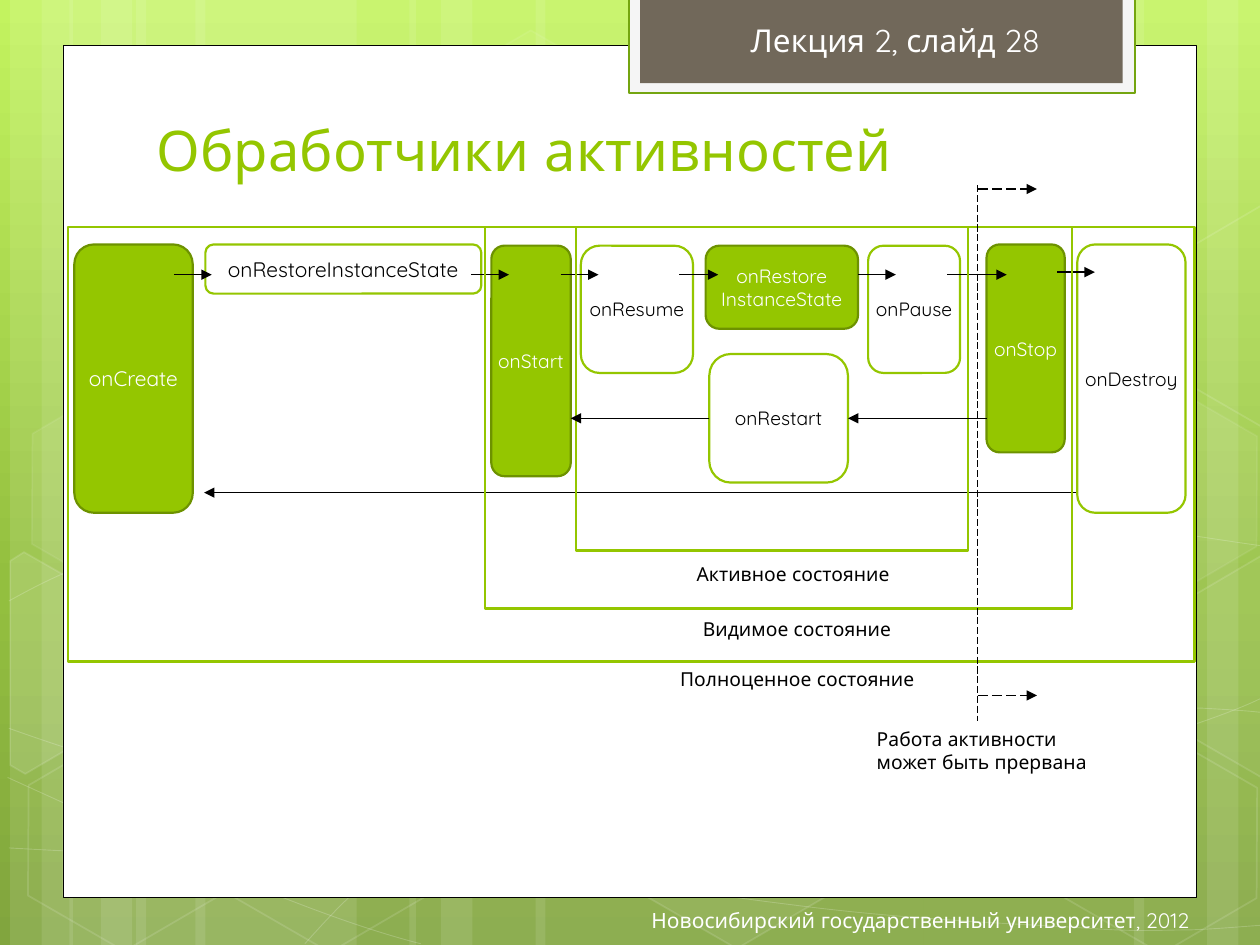
from copy import deepcopy
from math import cos, radians, sin

from pptx import Presentation
from pptx.dml.color import RGBColor
from pptx.enum.dml import MSO_LINE
from pptx.enum.shapes import MSO_CONNECTOR, MSO_SHAPE
from pptx.enum.text import MSO_ANCHOR, MSO_AUTO_SIZE, PP_ALIGN
from pptx.oxml.ns import qn
from pptx.util import Inches, Pt
from lxml.etree import SubElement

FONT = "Quicksand"
COLORS = {
    "white": "FFFFFF", "black": "000000", "green": "94C600", "dark_green": "6D9200",
    "tab_fill": "F5F5F5", "tab_line": "74A510", "brown": "71685A",
}
BACKDROP = [(0, "C3F35F"), (0.62, "93BF3F"), (1, "81A53E")]
BANDS = [
    (1.08, 1.75), (0.08, 0.5), (0.33, 0.83), (1.55, 1.75), (0.55, 0.5), (0.8, 0.83),
    (7.33, 1.75), (9.58, 0.5), (9, 0.83), (4.25, 3.08), (3.25, 0.5), (3.5, 0.83),
]
WAVES = [
    [(0.07, 6.73), (0.61, 6.76, 1.15, 6.79, 1.9, 6.78), (2.65, 6.77, 3.58, 6.75, 4.58, 6.65),
     (5.58, 6.55, 7, 6.36, 7.92, 6.17), (8.83, 5.98, 9.77, 5.68, 10.07, 5.51)],
    [(0.07, 4.77), (0.36, 4.61, 0.65, 4.46, 1.21, 4.31), (1.78, 4.16, 2.59, 3.94, 3.47, 3.87),
     (4.36, 3.8, 5.44, 3.79, 6.54, 3.87), (7.64, 3.95, 9.47, 4.26, 10.07, 4.34)],
    [(0.06, 6.17), (1.27, 6.72, 2.47, 7.27, 3.34, 7.49)],
    [(0.07, 5.78), (0.38, 5.89, 0.7, 6, 1.28, 6.16), (1.86, 6.31, 2.73, 6.56, 3.57, 6.73),
     (4.4, 6.9, 5.45, 7.08, 6.28, 7.18), (7.11, 7.29, 8, 7.33, 8.53, 7.36),
     (9.05, 7.4, 9.19, 7.38, 9.45, 7.38), (9.71, 7.37, 9.89, 7.35, 10.07, 7.34)],
    [(2.42, 7.49), (2.6, 7.29, 2.78, 7.09, 3.02, 6.91), (3.26, 6.73, 3.6, 6.53, 3.88, 6.39),
     (4.16, 6.25, 4.33, 6.19, 4.7, 6.09), (5.06, 5.99, 5.73, 5.85, 6.08, 5.78),
     (6.44, 5.71, 6.49, 5.71, 6.8, 5.69), (7.11, 5.66, 7.6, 5.63, 7.94, 5.62),
     (8.29, 5.61, 8.86, 5.62, 8.86, 5.62), (9.53, 5.62),
     (9.71, 5.63, 9.88, 5.64, 9.97, 5.65), (10.06, 5.66, 10.03, 5.65, 10.06, 5.66)],
]
HEXAGON_TILT = 30
HEXAGONS = [
    (3.34, 0.36, 4, 8), (4.97, 5.89, 6, 12), (0.11, 5.91, 0, 12), (0.14, 3.12, 7, 8),
    (1.74, 5.92, 0, 12), (7.53, 4.53, 10, 12), (8.34, 5.93, 0, 12), (8.34, 3.14, 7, 8),
]
CUT_HEXAGONS = [
    ((0.36, 5.35), 10,
     [(0.08, 4.45), (0.19, 4.38), (0.96, 4.82), (0.95, 5.7), (0.2, 6.14), (0.08, 6.07)]),
    ((9.85, 5.2), 4,
     [(9.26, 4.85), (10.01, 4.41), (10.09, 4.46), (10.09, 6.13), (10.02, 6.17), (9.26, 5.73)]),
    ((9.85, 2.41), 0,
     [(9.26, 2.07), (10.01, 1.63), (10.1, 1.68), (10.09, 3.35), (10.02, 3.39), (9.26, 2.95)]),
]
PANELS = [
    (0.5, 0.36, 9, 6.76, "white", "black", 0.5),
    (4.99, -0.02, 4.02, 0.76, "tab_fill", "tab_line", 1.25),
    (5.08, -0.02, 3.83, 0.68, "brown", None, 0),
]
TITLE = "Обработчики активностей"
HANDLERS = [
    ("onCreate", 0.59, 1.94, 0.94, 2.13, True, 12),
    ("onRestoreInstanceState", 1.63, 1.94, 2.19, 0.39, False, 12),
    ("onStart", 3.9, 1.95, 0.63, 1.83, True, 11),
    ("onResume", 4.61, 1.95, 0.89, 1.01, False, 11),
    ("onRestore\nInstanceState", 5.6, 1.95, 1.21, 0.66, True, 11),
    ("onPause", 6.89, 1.95, 0.73, 1.01, False, 11),
    ("onStop", 7.83, 1.94, 0.62, 1.65, True, 11),
    ("onDestroy", 8.55, 1.94, 0.86, 2.13, False, 11),
]
RESTART = ("onRestart", 5.63, 2.81, 1.1, 1.02, False, 11)
FORWARD_ARROWS = [
    (1.38, 1.68, 2.18), (3.74, 4.04, 2.18), (4.45, 4.75, 2.18), (5.39, 5.7, 2.18),
    (6.81, 7.11, 2.18), (7.52, 7.99, 2.18), (8.39, 8.69, 2.16),
]
STATE_FRAMES = [(0.54, 8.94, 3.45), (3.85, 4.66, 3.03), (4.57, 3.11, 2.57)]
LABELS = [
    ("Полноценное состояние", 5.3, 5.25, 2.14, 0.29),
    ("Видимое состояние", 5.48, 4.85, 1.77, 0.29),
    ("Активное состояние", 5.43, 4.41, 1.77, 0.29),
    ("Работа активности\nможет быть прервана", 6.86, 5.72, 1.92, 0.47),
]

prs = Presentation()
prs.slide_width, prs.slide_height = Inches(10), Inches(7.5)
slide = prs.slides.add_slide(prs.slide_layouts[5])


def rgb(name):
    return RGBColor.from_string(COLORS[name])


def paint(shape, fill=None, line=None, width=1.25, fill_alpha=100, line_alpha=100):
    shape.shadow.inherit = False
    for part, color in ((shape.fill, fill), (shape.line.fill, line)):
        if color:
            part.solid()
            part.fore_color.rgb = rgb(color)
        else:
            part.background()
    if line:
        shape.line.width = Pt(width)
    for route, alpha in (("a:solidFill", fill_alpha), ("a:ln/a:solidFill", line_alpha)):
        for color in shape._element.spPr.xpath(f"./{route}/a:srgbClr"):
            if alpha < 100:
                SubElement(color, qn("a:alpha")).set("val", str(alpha * 1000))


def add_box(kind, x, y, w, h, **look):
    box = slide.shapes.add_shape(kind, Inches(x), Inches(y), Inches(w), Inches(h))
    paint(box, **look)
    return box


def add_outline(points, close, **look):
    points = [(Inches(x), Inches(y)) for x, y in points]
    builder = slide.shapes.build_freeform(*points[0])
    builder.add_line_segments(points[1:], close=close)
    outline = builder.convert_to_shape()
    paint(outline, **look)
    return outline


def add_wave(start, *segments):
    points = [start] + [pair for part in segments for pair in zip(part[::2], part[1::2])]
    wave = add_outline(points, False, line="white", width=0.5, line_alpha=20)
    steps = iter(wave._element.xpath(".//a:path/a:lnTo"))
    for part in segments:
        group = [next(steps) for _ in part[::2]]
        if len(group) == 3:
            curve = group[0].makeelement(qn("a:cubicBezTo"))
            group[0].addprevious(curve)
            for step in group:
                curve.append(step[0])
                step.getparent().remove(step)


def turn(point, center, degrees):
    angle = radians(degrees)
    dx, dy = point[0] - center[0], point[1] - center[1]
    return (center[0] + dx * cos(angle) - dy * sin(angle),
            center[1] + dx * sin(angle) + dy * cos(angle))


def write(holder, text, size=11, color="black", align=PP_ALIGN.LEFT,
          anchor=MSO_ANCHOR.TOP, wrap=False, inset=None):
    frame = holder.text_frame
    frame.text = text
    frame.word_wrap = wrap
    frame.auto_size = MSO_AUTO_SIZE.NONE if wrap else MSO_AUTO_SIZE.SHAPE_TO_FIT_TEXT
    frame.vertical_anchor = anchor
    if inset is not None:
        frame.margin_left = frame.margin_right = frame.margin_top = frame.margin_bottom = inset
    for paragraph in frame.paragraphs:
        paragraph.alignment = align
        paragraph.font.size = Pt(size)
        paragraph.font.name = FONT
        paragraph.font.color.rgb = rgb(color)


def add_label(text, x, y, w, h, **style):
    write(slide.shapes.add_textbox(Inches(x), Inches(y), Inches(w), Inches(h)), text, **style)


def add_handler(name, x, y, w, h, filled, size):
    handler = add_box(MSO_SHAPE.ROUNDED_RECTANGLE, x, y, w, h, fill="green" if filled else "white",
                      line="dark_green" if filled else "green")
    write(handler, name, size=size, color="white" if filled else "black",
          align=PP_ALIGN.CENTER, anchor=MSO_ANCHOR.MIDDLE, wrap=True, inset=0)
    return handler


def add_line(x1, y1, x2, y2, width=0.75, dashed=False, arrow=True):
    line = slide.shapes.add_connector(
        MSO_CONNECTOR.STRAIGHT, Inches(x1), Inches(y1), Inches(x2), Inches(y2))
    line.line.color.rgb = rgb("black")
    line.line.width = Pt(width)
    if dashed:
        line.line.dash_style = MSO_LINE.LONG_DASH
    if arrow:
        SubElement(line.line._get_or_add_ln(), qn("a:tailEnd")).set("type", "triangle")
    SubElement(line._element.spPr, qn("a:effectLst"))
    return line


backdrop = slide.background.fill
backdrop.gradient()
backdrop.gradient_angle = 270
stops = slide._element.xpath(".//p:bgPr//a:gsLst")[0]
stops.append(deepcopy(stops[0]))
for stop, (position, color) in zip(backdrop.gradient_stops, BACKDROP):
    stop.position = position
    stop.color.rgb = RGBColor.from_string(color)

for x, w in BANDS:
    add_box(MSO_SHAPE.RECTANGLE, x, 0, w, 7.5, fill="white", fill_alpha=10)
for wave in WAVES:
    add_wave(*wave)
for x, y, fill_alpha, line_alpha in HEXAGONS:
    hexagon = add_box(MSO_SHAPE.HEXAGON, x, y, 1.75, 1.52, fill="white" if fill_alpha else None,
                      line="white", width=1, fill_alpha=fill_alpha, line_alpha=line_alpha)
    hexagon.adjustments[0] = 0.285
    hexagon.adjustments[1] = 1.155
    hexagon.rotation = HEXAGON_TILT
for center, fill_alpha, corners in CUT_HEXAGONS:
    upright = [turn(corner, center, -HEXAGON_TILT) for corner in corners]
    add_outline(upright, True, fill="white" if fill_alpha else None, line="white", width=1,
                fill_alpha=fill_alpha, line_alpha=12).rotation = HEXAGON_TILT
for x, y, w, h, fill, line, width in PANELS:
    add_box(MSO_SHAPE.RECTANGLE, x, y, w, h, fill=fill, line=line, width=width)

title = slide.shapes.title
title.left, title.top, title.width, title.height = map(Inches, (1.14, 0.84, 7.68, 0.66))
write(title, TITLE, size=32, color="green", anchor=MSO_ANCHOR.BOTTOM, wrap=True)
slide.shapes._spTree.append(title._element)
add_label("Лекция 2, слайд 28", 5.86, 0.12, 2.59, 0.4, size=18, color="white")
add_label("Новосибирский государственный университет, 2012", 3.11, 7.1, 6.43, 0.4, size=12,
          color="white", align=PP_ALIGN.RIGHT, anchor=MSO_ANCHOR.MIDDLE, wrap=True)

for handler in HANDLERS:
    add_handler(*handler)
for start, end, y in FORWARD_ARROWS:
    add_line(start, y, end, y)
add_line(8.54, 3.91, 1.62, 3.91)
for x, w, h in STATE_FRAMES:
    add_box(MSO_SHAPE.RECTANGLE, x, 1.8, w, h, line="green")
for label in LABELS:
    add_label(*label)

restart = add_handler(*RESTART)
add_line(7.83, 3.32, 6.73, 3.32).end_connect(restart, 3)
add_line(5.63, 3.32, 4.53, 3.32).begin_connect(restart, 1)
add_line(7.76, 1.47, 7.76, 5.72, width=0.5, dashed=True, arrow=False)
for y in (1.5, 5.52):
    add_line(7.76, y, 8.23, y, dashed=True)

prs.save("out.pptx")
